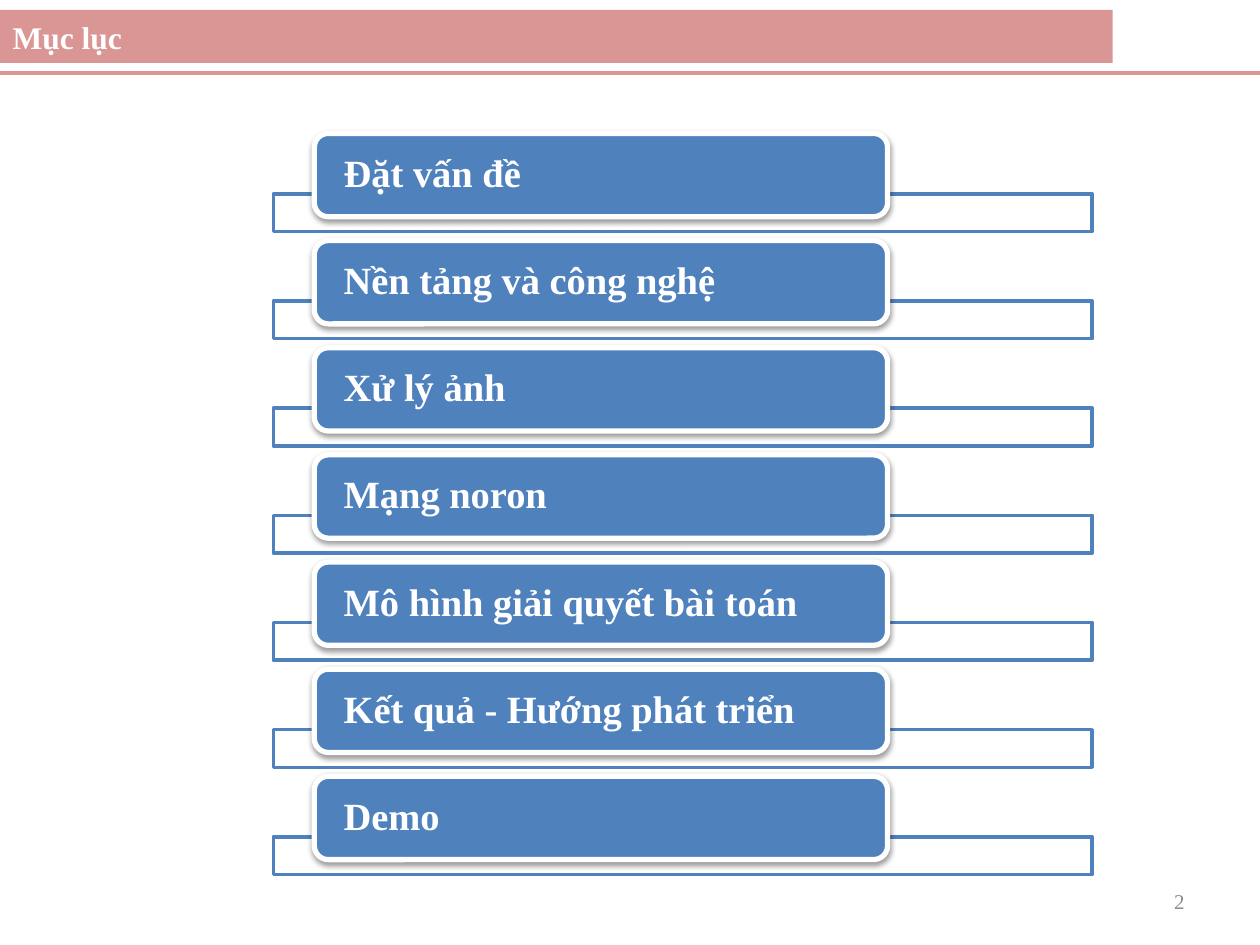
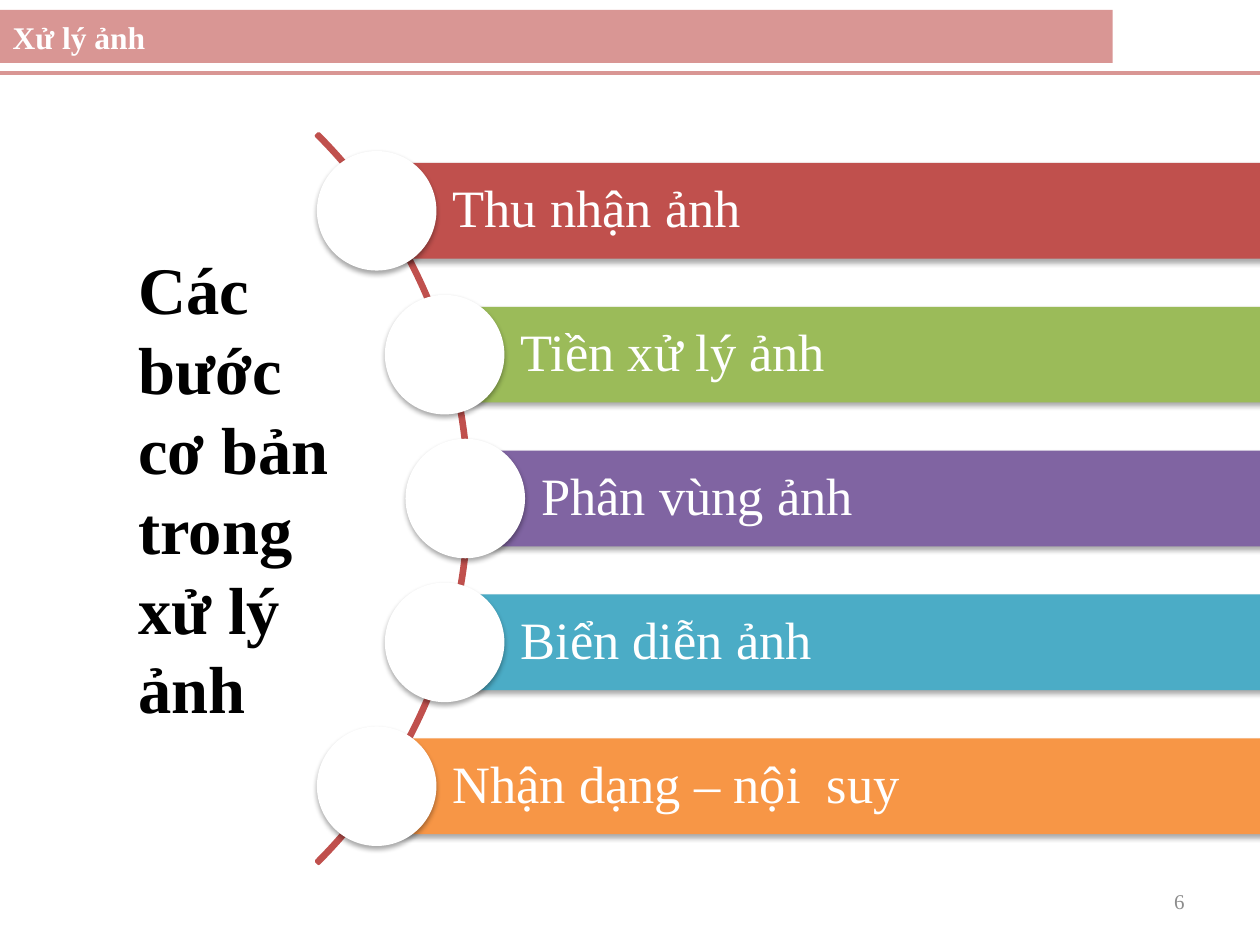
from math import sqrt

from lxml.etree import SubElement
from pptx import Presentation
from pptx.dml.color import RGBColor
from pptx.enum.shapes import MSO_CONNECTOR, MSO_SHAPE
from pptx.enum.text import MSO_ANCHOR, MSO_AUTO_SIZE, PP_ALIGN
from pptx.oxml.ns import qn
from pptx.util import Cm, Pt

FONT = "Times New Roman"
WHITE, BLACK, GREY = "FFFFFF", "000000", "8C8C8C"
PINK, BLUE, RED = "D99694", "4F81BD", "C0504D"
SLIDE_W, SLIDE_H = 25.4, 19.05

AGENDA = [
    "Đặt vấn đề",
    "Nền tảng và công nghệ",
    "Xử lý ảnh",
    "Mạng noron",
    "Mô hình giải quyết bài toán",
    "Kết quả - Hướng phát triển",
    "Demo",
]
STEPS = [
    ("Thu nhận ảnh", RED),
    ("Tiền xử lý ảnh", "9BBB59"),
    ("Phân vùng ảnh", "8064A2"),
    ("Biển diễn ảnh", "4BACC6"),
    ("Nhận dạng – nội  suy", "F79646"),
]


def rgb(value):
    return RGBColor.from_string(value)


def add_shadow(sp, opacity, distance):
    """Drop a soft black shadow straight down; distance is in points."""
    effects = sp._element.spPr.find(qn("a:effectLst"))
    shadow = SubElement(effects, qn("a:outerShdw"), blurRad=str(Pt(3.1)),
                        dist=str(Pt(distance)), dir="5400000", rotWithShape="0")
    color = SubElement(shadow, qn("a:srgbClr"), val=BLACK)
    SubElement(color, qn("a:alpha"), val=str(opacity * 1000))


def add_box(slide, kind, x, y, w, h, fill=None, line=None, weight=2):
    sp = slide.shapes.add_shape(kind, Cm(x), Cm(y), Cm(w), Cm(h))
    sp.shadow.inherit = False
    if fill:
        sp.fill.solid()
        sp.fill.fore_color.rgb = rgb(fill)
    else:
        sp.fill.background()
    if line:
        sp.line.color.rgb = rgb(line)
        sp.line.width = Pt(weight)
    else:
        sp.line.fill.background()
    return sp


def write(sp, text, size, color, bold=False, align=PP_ALIGN.LEFT,
          anchor=MSO_ANCHOR.MIDDLE, spacing=1.0, inset=None):
    tf = sp.text_frame
    tf.text = text
    tf.word_wrap = True
    tf.auto_size = MSO_AUTO_SIZE.NONE
    tf.vertical_anchor = anchor
    if inset is not None:
        tf.margin_left = Cm(inset)
    p = tf.paragraphs[0]
    p.alignment = align
    p.line_spacing = spacing
    font = p.runs[0].font
    font.name, font.size, font.bold = FONT, Pt(size), bold
    font.color.rgb = rgb(color)


def add_text(slide, x, y, w, h, text, size, color, **style):
    sp = slide.shapes.add_textbox(Cm(x), Cm(y), Cm(w), Cm(h))
    write(sp, text, size, color, **style)


def add_framed_slide(prs, title, number):
    """Add a slide with the title band, the rule below it and the page number."""
    slide = prs.slides.add_slide(prs.slide_layouts[5])
    band = slide.shapes.title
    band.left, band.top, band.width, band.height = Cm(0), Cm(0.2), Cm(22.43), Cm(1.07)
    band.fill.solid()
    band.fill.fore_color.rgb = rgb(PINK)
    write(band, title, 18, WHITE, bold=True)

    rule = slide.shapes.add_connector(
        MSO_CONNECTOR.STRAIGHT, Cm(0), Cm(1.47), Cm(SLIDE_W), Cm(1.47))
    rule.line.color.rgb = rgb(PINK)
    rule.line.width = Pt(2.75)
    SubElement(rule._element.spPr, qn("a:effectLst"))

    add_text(slide, 18.21, 17.65, 5.92, 1.02, str(number), 12, GREY,
             align=PP_ALIGN.RIGHT)
    return slide


def add_agenda(slide, x, y, w, pitch):
    """Stack the agenda labels, each overlapping a wide outlined strip."""
    for i, text in enumerate(AGENDA):
        top = y + i * pitch
        add_box(slide, MSO_SHAPE.RECTANGLE, x, top + 1.22, w, 0.76, WHITE, BLUE)
        label = add_box(slide, MSO_SHAPE.ROUNDED_RECTANGLE, x + 0.05 * w, top,
                        0.7 * w, 1.68, BLUE, WHITE, 3)
        add_shadow(label, 38, 1.6)
        write(label, text, 22, WHITE, bold=True, spacing=0.9, inset=0.51)


def add_steps(slide, cx, cy, radius, right, pitch):
    """Hang the step bars on an arc centred on (cx, cy), ending at right."""
    arc = add_box(slide, MSO_SHAPE.BLOCK_ARC, cx - radius, cy - radius,
                  2 * radius, 2 * radius, line=RED)
    for i, value in enumerate((189, 27, 0.003)):
        arc.adjustments[i] = value

    bar_h, dot, orbit = 1.93, 2.41, radius - 0.09
    for i, (text, color) in enumerate(STEPS):
        dy = (i - (len(STEPS) - 1) / 2) * pitch
        x, y = cx + sqrt(orbit ** 2 - dy ** 2), cy + dy
        bar = add_box(slide, MSO_SHAPE.RECTANGLE, x, y - bar_h / 2,
                      right - x, bar_h, color)
        write(bar, text, 30, WHITE, spacing=0.9, inset=1.53)
        circle = add_box(slide, MSO_SHAPE.OVAL, x - dot / 2, y - dot / 2,
                         dot, dot, WHITE)
        for sp in (bar, circle):
            add_shadow(sp, 35, 1.8)


def main():
    prs = Presentation()
    prs.slide_width, prs.slide_height = Cm(SLIDE_W), Cm(SLIDE_H)

    slide = add_framed_slide(prs, "Mục lục", 2)
    add_agenda(slide, 5.51, 2.69, 16.51, 2.16)

    slide = add_framed_slide(prs, "Xử lý ảnh", 6)
    add_steps(slide, -0.93, 10.05, 10.4, 26.24, 2.9)
    add_text(slide, 2.54, 4.88, 4.65, 10.01, "Các bước cơ bản trong xử lý ảnh",
             38, BLACK, bold=True, anchor=MSO_ANCHOR.TOP)

    prs.save("out.pptx")


if __name__ == "__main__":
    main()
